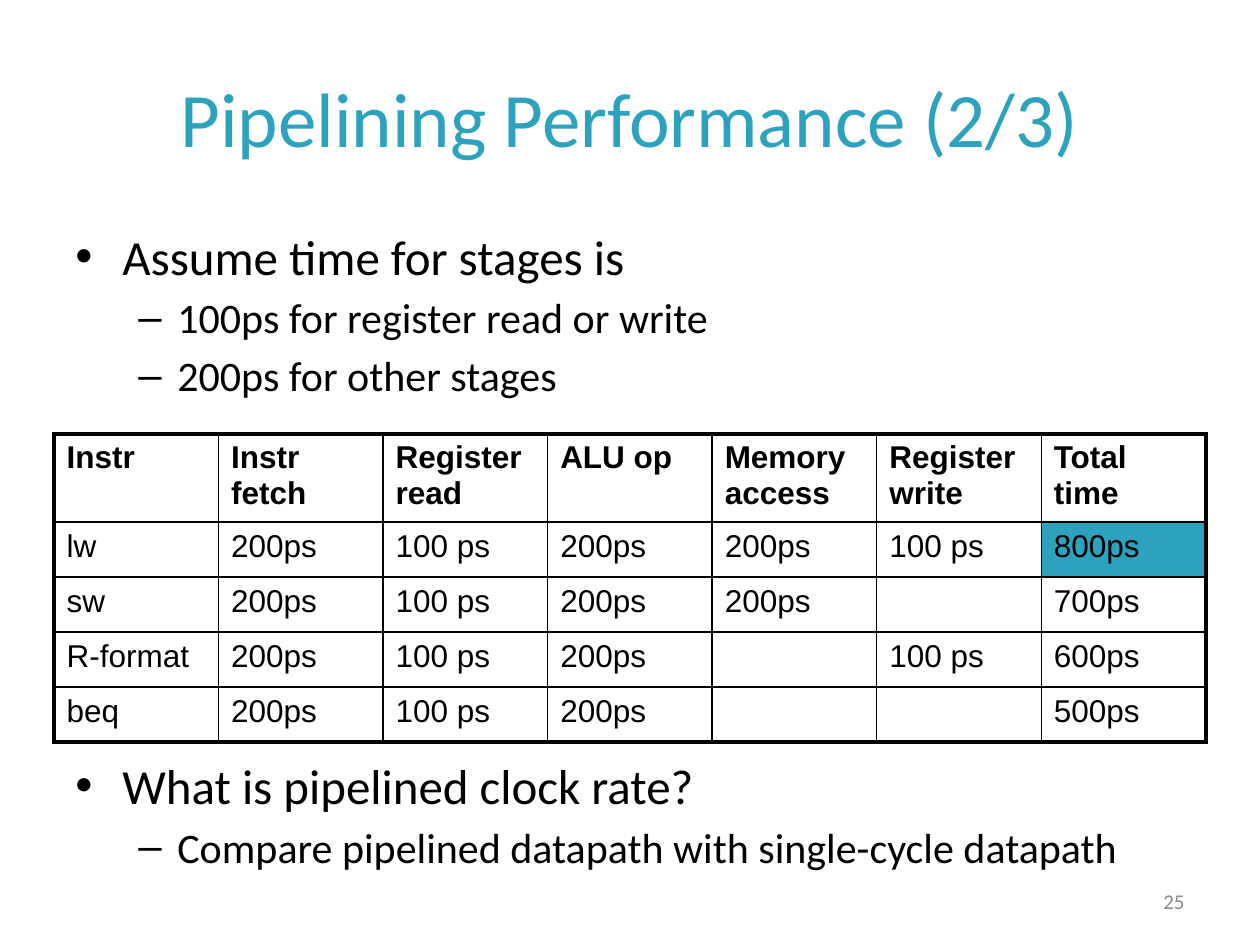
from lxml.etree import SubElement
from pptx import Presentation
from pptx.dml.color import RGBColor
from pptx.enum.text import MSO_ANCHOR, PP_ALIGN
from pptx.oxml.ns import qn
from pptx.util import Emu, Pt

PX = 914400 // 126
TEAL = "2DA2BF"
HEAD = ["Instr", "Instr fetch", "Register read", "ALU op",
        "Memory access", "Register write", "Total time"]
TIMES = [
    ["lw", "200ps", "100 ps", "200ps", "200ps", "100 ps", "800ps"],
    ["sw", "200ps", "100 ps", "200ps", "200ps", "", "700ps"],
    ["R-format", "200ps", "100 ps", "200ps", "", "100 ps", "600ps"],
    ["beq", "200ps", "100 ps", "200ps", "", "", "500ps"],
]
# Bullet, left margin px, hanging indent px, text size
LEVELS = [("•", 47, 47, 28), ("–", 102, 39, 24)]


def px(num):
    return Emu(num * PX)


def tint(code):
    return RGBColor.from_string(code)


def write(para, text, size=18, font="Calibri", color="000000", bold=False,
          align=PP_ALIGN.LEFT, before=0):
    para.alignment = align
    para.space_before = Pt(before)
    run = para.add_run()
    run.text = text
    face = run.font
    face.size, face.name, face.bold = Pt(size), font, bold
    face.color.rgb = tint(color)


def frame(slide, box, anchor=MSO_ANCHOR.TOP):
    """Add an empty wrapping text box and return its text frame."""
    body = slide.shapes.add_textbox(*map(px, box)).text_frame
    body.word_wrap = True
    body.vertical_anchor = anchor
    return body


def label(slide, box, text, **style):
    write(frame(slide, box, MSO_ANCHOR.MIDDLE).paragraphs[0], text, **style)


def bullets(slide, box, items):
    body = frame(slide, box)
    for i, (level, text) in enumerate(items):
        para = body.add_paragraph() if i else body.paragraphs[0]
        mark, left, hang, size = LEVELS[level]
        write(para, text, size=size, before=4)
        para.level = level
        props = para._p.get_or_add_pPr()
        props.set("marL", str(px(left)))
        props.set("indent", str(-px(hang)))
        SubElement(props, qn("a:buFont"), typeface="Arial")
        SubElement(props, qn("a:buChar"), char=mark)


def edge(cell, sides):
    """Draw black cell borders, with widths in points by side tag."""
    props = cell._tc.get_or_add_tcPr()
    for i, (side, width) in enumerate(sides.items()):
        line = props.makeelement(qn("a:" + side), {"w": str(Pt(width))})
        fill = SubElement(line, qn("a:solidFill"))
        SubElement(fill, qn("a:srgbClr"), val="000000")
        props.insert(i, line)


def grid(slide, box, rows, top):
    """Place the timing table; top is the height of its header row."""
    high, wide = len(rows), len(rows[0])
    table = slide.shapes.add_table(high, wide, *map(px, box)).table
    table.horz_banding = False
    for col in table.columns:
        col.width = px(box[2]) // wide
    for r, row in enumerate(rows):
        table.rows[r].height = px(top if r == 0 else (box[3] - top) // (high - 1))
        for c, text in enumerate(row):
            cell = table.cell(r, c)
            write(cell.text_frame.paragraphs[0], text, font="Arial", bold=r == 0)
            if text == "800ps":
                cell.fill.solid()
                cell.fill.fore_color.rgb = tint(TEAL)
            else:
                cell.fill.background()
            edge(cell, {
                "lnL": 2.25 if c == 0 else 1,
                "lnR": 2.25 if c == wide - 1 else 1,
                "lnT": {0: 2.25, 1: 1.5}.get(r, 1),
                "lnB": {0: 1.5, high - 1: 2.25}.get(r, 1),
            })


def main():
    deck = Presentation()
    deck.slide_width, deck.slide_height = px(1260), px(945)
    slide = deck.slides.add_slide(deck.slide_layouts[6])
    label(slide, (63, 38, 1134, 157), "Pipelining Performance (2/3)",
          size=44, color=TEAL, align=PP_ALIGN.CENTER)
    bullets(slide, (63, 220, 1134, 200), [
        (0, "Assume time for stages is"),
        (1, "100ps for register read or write"),
        (1, "200ps for other stages"),
    ])
    grid(slide, (54, 434, 1152, 304), [HEAD] + TIMES, 84)
    bullets(slide, (63, 749, 1134, 140), [
        (0, "What is pipelined clock rate?"),
        (1, "Compare pipelined datapath with single-cycle datapath"),
    ])
    label(slide, (903, 876, 294, 50), "25",
          size=12, color="898989", align=PP_ALIGN.RIGHT)
    deck.save("out.pptx")


if __name__ == "__main__":
    main()
